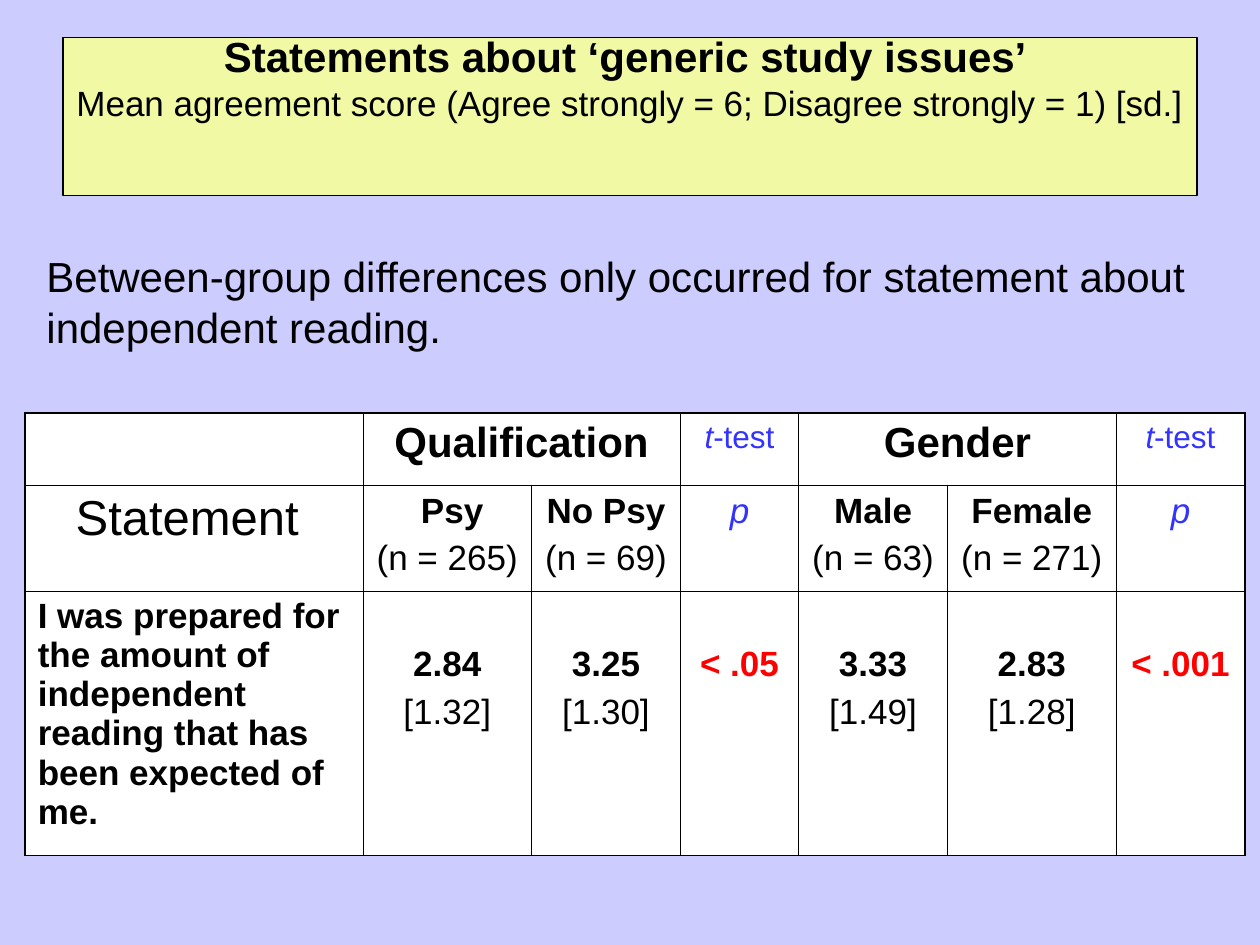
from lxml import etree
from pptx import Presentation
from pptx.dml.color import RGBColor
from pptx.enum.shapes import MSO_SHAPE
from pptx.enum.text import MSO_ANCHOR, PP_ALIGN
from pptx.oxml.ns import qn
from pptx.util import Inches, Pt

CENTER, LEFT = PP_ALIGN.CENTER, PP_ALIGN.LEFT
TOP, MIDDLE = MSO_ANCHOR.TOP, MSO_ANCHOR.MIDDLE
RECTANGLE = MSO_SHAPE.RECTANGLE

COLORS = {
    "background": "CCCCFF",
    "banner": "F1F9A5",
    "cell": "FFFFFF",
    "ink": "000000",
    "test": "3333FF",
    "significant": "FF0000",
}
FONT = "Arial"
WIDTH, HEIGHT = 10, 7.5
OUTER_LINE, INNER_LINE = 1.08, 0.45
COLUMN_WIDTHS = [2.68, 1.34, 1.18, 0.94, 1.18, 1.34, 1.02]
ROW_HEIGHTS = [0.57, 0.84, 2.1]
SCORE_DROP = 0.38

TITLE = "Statements about ‘generic study issues’ "
SCALE = "Mean agreement score (Agree strongly = 6; Disagree strongly = 1) [sd.]"
FINDING = "Between-group differences only occurred for statement about independent reading."
STATEMENT = "I was prepared for the amount of independent reading that has been expected of me."
GROUP_HEADINGS = {1: "Qualification", 4: "Gender"}
GROUPS = {
    1: (" Psy", "(n = 265)", "2.84", "[1.32]"),
    2: ("No Psy", "(n = 69)", "3.25", "[1.30]"),
    4: ("Male", "(n = 63)", "3.33", "[1.49]"),
    5: ("Female", "(n = 271)", "2.83", "[1.28]"),
}
TESTS = {3: "< .05", 6: "< .001"}


def rgb(name):
    return RGBColor.from_string(COLORS[name])


def write(frame, text, size=20, bold=False, italic=False, color="ink",
          align=CENTER, before=5, same_line=False):
    paragraph = frame.paragraphs[-1]
    if not same_line:
        if paragraph.runs:
            paragraph = frame.add_paragraph()
            paragraph.space_before = Pt(before)
        paragraph.alignment = align
    run = paragraph.add_run()
    run.text = text
    font = run.font
    font.name, font.size = FONT, Pt(size)
    font.bold, font.italic = bold, italic
    font.color.rgb = rgb(color)


def draw_borders(cell, row, column):
    edges = {
        "a:lnL": column == 0,
        "a:lnR": column == len(COLUMN_WIDTHS) - 1,
        "a:lnT": row == 0,
        "a:lnB": row == len(ROW_HEIGHTS) - 1,
    }
    properties = cell._tc.get_or_add_tcPr()
    for tag, outer in edges.items():
        width = Pt(OUTER_LINE if outer else INNER_LINE)
        line = etree.SubElement(properties, qn(tag), w=str(int(width)))
        fill = etree.SubElement(line, qn("a:solidFill"))
        etree.SubElement(fill, qn("a:srgbClr"), val=COLORS["ink"])


def add_banner(slide):
    banner = slide.shapes.add_shape(
        RECTANGLE, Inches(0.05 * WIDTH), Inches(0.04 * HEIGHT),
        Inches(0.9 * WIDTH), Inches(1.25))
    banner.shadow.inherit = False
    banner.fill.solid()
    banner.fill.fore_color.rgb = rgb("banner")
    banner.line.color.rgb = rgb("ink")
    banner.line.width = Pt(0.75)
    frame = banner.text_frame
    frame.word_wrap = True
    frame.vertical_anchor = MIDDLE
    frame.margin_left = frame.margin_right = frame.margin_top = 0
    frame.margin_bottom = Inches(0.63)
    write(frame, TITLE, size=24, bold=True)
    write(frame, SCALE, before=0)


def add_finding(slide):
    finding = slide.shapes.add_textbox(
        Inches(0.27), Inches(1.94), Inches(9.29), Inches(0.9))
    finding.text_frame.word_wrap = True
    write(finding.text_frame, FINDING, size=24, align=LEFT)


def add_scores(slide):
    scores = slide.shapes.add_table(
        len(ROW_HEIGHTS), len(COLUMN_WIDTHS), Inches(0.2), Inches(3.28),
        Inches(sum(COLUMN_WIDTHS)), Inches(sum(ROW_HEIGHTS))).table
    for column, width in zip(scores.columns, COLUMN_WIDTHS):
        column.width = Inches(width)
    for row, height in zip(scores.rows, ROW_HEIGHTS):
        row.height = Inches(height)

    for row in range(len(ROW_HEIGHTS)):
        for column in range(len(COLUMN_WIDTHS)):
            cell = scores.cell(row, column)
            draw_borders(cell, row, column)
            cell.fill.solid()
            cell.fill.fore_color.rgb = rgb("cell")
            cell.vertical_anchor = TOP
            if row == 2 and column > 0:
                cell.margin_top = Inches(0.05 + SCORE_DROP)

    def frame_at(row, column):
        return scores.cell(row, column).text_frame

    for column, heading in GROUP_HEADINGS.items():
        scores.cell(0, column).merge(scores.cell(0, column + 1))
        write(frame_at(0, column), heading, size=24, bold=True)

    write(frame_at(1, 0), "Statement ", size=28)
    write(frame_at(2, 0), STATEMENT, bold=True, align=LEFT)

    for column, (group, count, mean, deviation) in GROUPS.items():
        for row, (main, detail) in enumerate([(group, count), (mean, deviation)], 1):
            write(frame_at(row, column), main, bold=True)
            write(frame_at(row, column), detail)

    for column, p_value in TESTS.items():
        write(frame_at(0, column), "t", size=18, italic=True, color="test")
        write(frame_at(0, column), "-test", size=18, color="test", same_line=True)
        write(frame_at(1, column), "p", italic=True, color="test")
        write(frame_at(2, column), p_value, bold=True, color="significant")


def main():
    deck = Presentation()
    deck.slide_width, deck.slide_height = Inches(WIDTH), Inches(HEIGHT)
    slide = deck.slides.add_slide(deck.slide_layouts[6])
    slide.background.fill.solid()
    slide.background.fill.fore_color.rgb = rgb("background")
    add_banner(slide)
    add_finding(slide)
    add_scores(slide)
    deck.save("out.pptx")


if __name__ == "__main__":
    main()
